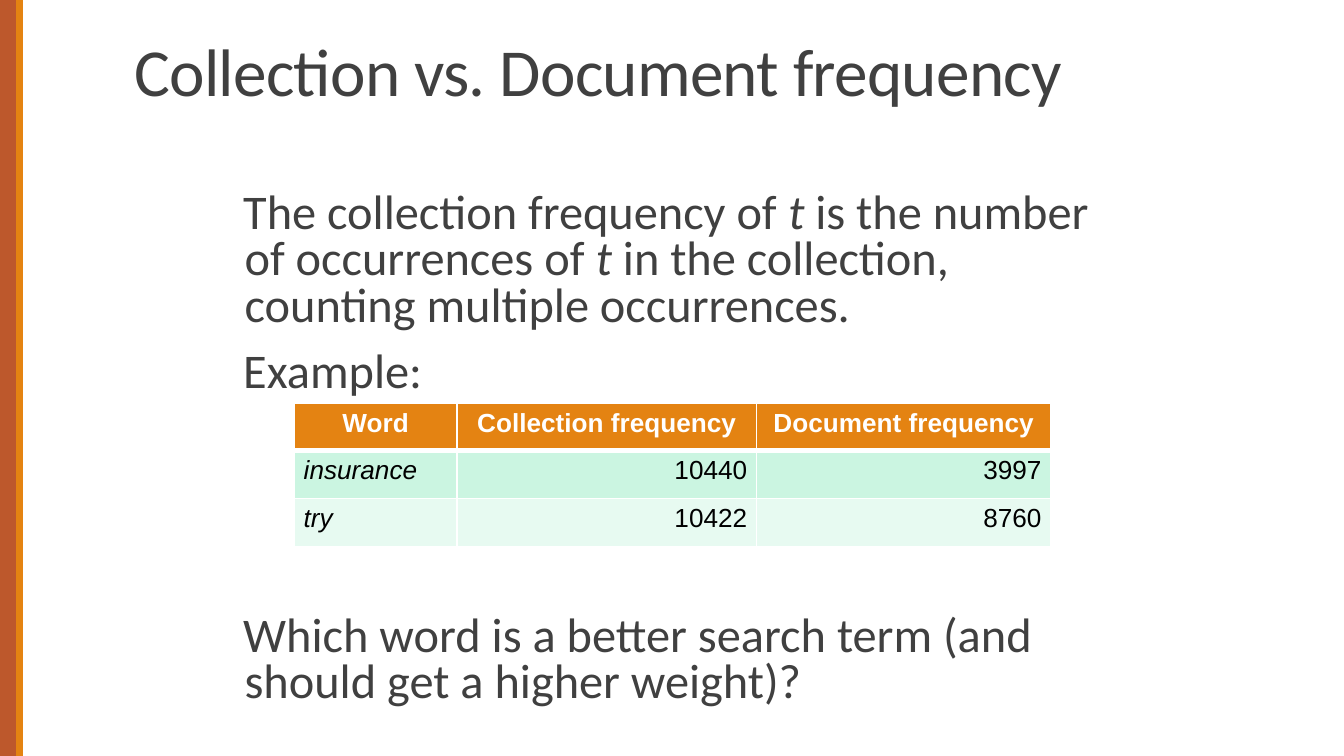
"""Build the slide that compares collection and document frequency."""
from dataclasses import dataclass

from lxml import etree
from pptx import Presentation
from pptx.dml.color import RGBColor
from pptx.enum.shapes import MSO_SHAPE
from pptx.enum.text import MSO_ANCHOR, MSO_AUTO_SIZE, PP_ALIGN
from pptx.oxml.ns import qn
from pptx.util import Inches, Pt

RECTANGLE = MSO_SHAPE.RECTANGLE
TOP, BOTTOM = MSO_ANCHOR.TOP, MSO_ANCHOR.BOTTOM
LEFT, CENTER, RIGHT = PP_ALIGN.LEFT, PP_ALIGN.CENTER, PP_ALIGN.RIGHT
NO_AUTOFIT = MSO_AUTO_SIZE.NONE
PAGE_WIDTH = 10
PAGE_HEIGHT = PAGE_WIDTH * 9 / 16


@dataclass(frozen=True)
class Theme:
    text: str = "404040"
    rust: str = "BD582C"
    orange: str = "E48312"
    white: str = "FFFFFF"
    black: str = "000000"
    bands: tuple = ("CBF5E1", "E7FAF1")
    text_font: str = "Calibri"
    table_font: str = "Arial"
    title_size: float = 36
    body_size: float = 25.9
    table_size: float = 14


def apply(target, values):
    for name, value in values.items():
        setattr(target, name, value)


class SlideBuilder:
    def __init__(self, deck, theme):
        self.theme = theme
        self.slide = deck.slides.add_slide(deck.slide_layouts[1])

    def style(self, font, color, **values):
        apply(font, values)
        font.color.rgb = RGBColor.from_string(color)

    def place(self, shape, left, top, width, height):
        bounds = {"left": left, "top": top, "width": width, "height": height}
        apply(shape, {name: Inches(value) for name, value in bounds.items()})

    def bar(self, left, width, color):
        bar = self.slide.shapes.add_shape(
            RECTANGLE, Inches(left), 0, Inches(width), Inches(PAGE_HEIGHT))
        bar.shadow.inherit = False
        bar.fill.solid()
        bar.fill.fore_color.rgb = RGBColor.from_string(color)
        bar.line.fill.background()

    def title(self, text, bounds):
        title = self.slide.shapes.title
        self.place(title, *bounds)
        frame = title.text_frame
        apply(frame, {"word_wrap": True, "auto_size": NO_AUTOFIT, "vertical_anchor": BOTTOM})
        para = frame.paragraphs[0]
        apply(para, {"alignment": LEFT, "line_spacing": 0.85})
        span = para.add_run()
        span.text = text
        self.style(span.font, self.theme.text, name=self.theme.text_font,
                   size=Pt(self.theme.title_size))
        span.font._element.set("spc", "-40")

    def body(self, paragraphs, bounds):
        body = self.slide.placeholders[1]
        self.place(body, *bounds)
        frame = body.text_frame
        apply(frame, {"word_wrap": True, "auto_size": NO_AUTOFIT, "vertical_anchor": TOP,
                      "margin_left": 0, "margin_right": 0,
                      "margin_top": Inches(0.05), "margin_bottom": Inches(0.05)})
        for index, (space_before, spans) in enumerate(paragraphs):
            para = frame.add_paragraph() if index else frame.paragraphs[0]
            apply(para, {"alignment": LEFT, "line_spacing": 0.8,
                         "space_before": Pt(space_before), "space_after": Pt(1.5)})
            properties = para._p.get_or_add_pPr()
            properties.set("marL", str(Inches(0.01)))
            properties.set("indent", str(Inches(-0.01)))
            etree.SubElement(properties, qn("a:buNone"))
            for text, italic in spans:
                span = para.add_run()
                span.text = text
                self.style(span.font, self.theme.text, name=self.theme.text_font,
                           size=Pt(self.theme.body_size), italic=italic)

    def borders(self, cell, widths):
        properties = cell._tc.get_or_add_tcPr()
        for index, (side, width) in enumerate(widths.items()):
            line = etree.Element(qn(f"a:ln{side}"), w=str(Pt(width)))
            fill = etree.SubElement(line, qn("a:solidFill"))
            etree.SubElement(fill, qn("a:srgbClr"), val=self.theme.white)
            properties.insert(index, line)

    def table(self, rows, left, top, widths, heights):
        table = self.slide.shapes.add_table(
            len(rows), len(widths), Inches(left), Inches(top),
            Inches(sum(widths)), Inches(sum(heights))).table
        for column, width in zip(table.columns, widths):
            column.width = Inches(width)
        for row, height in zip(table.rows, heights):
            row.height = Inches(height)
        for row_index, row in enumerate(rows):
            for column_index, text in enumerate(row):
                self.cell(table.cell(row_index, column_index), text, row_index, column_index)

    def cell(self, cell, text, row, column):
        header = row == 0
        fill = self.theme.orange if header else self.theme.bands[row - 1]
        cell.fill.solid()
        cell.fill.fore_color.rgb = RGBColor.from_string(fill)
        apply(cell, {"margin_left": Inches(0.07), "margin_right": Inches(0.07),
                     "margin_top": Inches(0.04), "margin_bottom": Inches(0.04),
                     "vertical_anchor": TOP})
        para = cell.text_frame.paragraphs[0]
        para.alignment = CENTER if header else RIGHT if column else LEFT
        span = para.add_run()
        span.text = text
        self.style(span.font, self.theme.white if header else self.theme.black,
                   name=self.theme.table_font, size=Pt(self.theme.table_size),
                   bold=header, italic=not header and column == 0)
        self.borders(cell, {"L": 1, "R": 1, "T": 3 if row == 1 else 1, "B": 3 if header else 1})


def main():
    theme = Theme()
    deck = Presentation()
    apply(deck, {"slide_width": Inches(PAGE_WIDTH), "slide_height": Inches(PAGE_HEIGHT)})
    page = SlideBuilder(deck, theme)
    page.bar(0, 0.17, theme.rust)
    page.bar(0.12, 0.05, theme.orange)
    page.title("Collection vs. Document frequency", (0.9, 0.13, 8.25, 0.74))
    page.body([
        (0, [("The collection frequency of ", False), ("t", True),
             (" is the number of occurrences of ", False), ("t", True),
             (" in the collection, counting multiple occurrences.", False)]),
        (9, [("Example:", False)]),
        (115, [("Which word is a better search term (and should get a higher weight)?", False)]),
    ], (1.81, 1.38, 6.38, 4))
    page.table([
        ("Word", "Collection frequency", "Document frequency"),
        ("insurance", "10440", "3997"),
        ("try", "10422", "8760"),
    ], 2.19, 3, (1.21, 2.23, 2.19), (0.35, 0.36, 0.36))
    deck.save("out.pptx")


if __name__ == "__main__":
    main()
